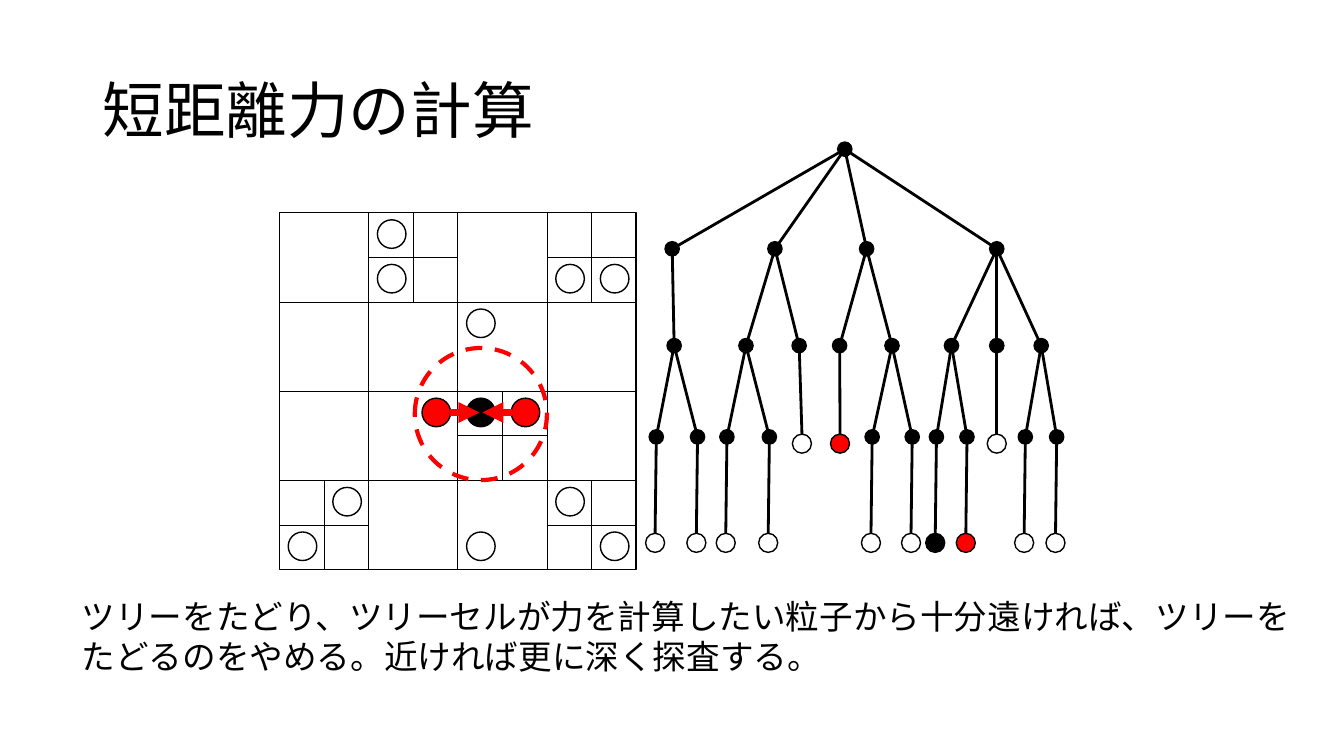
from collections import namedtuple

from lxml import etree
from pptx import Presentation
from pptx.dml.color import RGBColor
from pptx.enum.dml import MSO_LINE
from pptx.enum.shapes import MSO_CONNECTOR, MSO_SHAPE
from pptx.enum.text import MSO_ANCHOR, MSO_AUTO_SIZE, PP_ALIGN
from pptx.oxml.ns import qn
from pptx.util import Cm, Pt

BLACK = RGBColor(0x00, 0x00, 0x00)
RED = RGBColor(0xFF, 0x00, 0x00)
FONT = "Calibri"

# Cell grid: 4 x 4 cells, some of them split into quarters (cm)
GRID_LEFT, GRID_TOP, GRID_SIZE = 7.04, 5.36, 8.99
CELL = GRID_SIZE / 4
HALF = CELL / 2
SPLIT_CELLS = [(1, 0), (3, 0), (2, 2), (0, 3), (3, 3)]
# Particles sit in the middle of quarter cells: (column, row)
FAR_PARTICLES = [(2, 0), (2, 1), (6, 1), (7, 1), (4, 2), (1, 6),
                 (6, 6), (0, 7), (4, 7), (7, 7)]
NEAR_PARTICLES = [(3, 4), (5, 4)]
TARGET_PARTICLE = (4, 4)
PARTICLE_SIZE = 0.72

# Tree: height of each level, and sizes of nodes and leaves (cm)
LEVEL_Y = [3.76, 6.27, 8.71, 11.01, 13.68]
NODE_SIZE, LEAF_SIZE = 0.36, 0.48
EARLY_LEAF_DROP = 0.17

Node = namedtuple("Node", "x children")
Leaf = namedtuple("Leaf", "x fill", defaults=[None])


def chain(x, fill=None):
    """A lowest-level node with its single leaf."""
    return Node(x, [Leaf(x - 0.03, fill)])


TREE = Node(21.29, [
    Node(16.94, [Node(16.99, [chain(16.54), chain(17.58)])]),
    Node(19.53, [Node(18.80, [chain(18.32), chain(19.39)]),
                 Node(20.14, [Leaf(20.21)])]),
    Node(21.84, [Node(21.16, [Leaf(21.17, RED)]),
                 Node(22.48, [chain(21.98), chain(22.99)])]),
    Node(25.12, [Node(23.98, [chain(23.60, BLACK), chain(24.37, RED)]),
                 Node(25.12, [Leaf(25.12)]),
                 Node(26.24, [chain(25.84), chain(26.63)])]),
])


def add_line(shapes, x1, y1, x2, y2, width, color=BLACK, arrow=False):
    line = shapes.add_connector(MSO_CONNECTOR.STRAIGHT,
                                Cm(x1), Cm(y1), Cm(x2), Cm(y2))
    line.line.color.rgb = color
    line.line.width = Pt(width)
    if arrow:
        etree.SubElement(line.line._get_or_add_ln(), qn("a:tailEnd"),
                         type="triangle")
    etree.SubElement(line._element.spPr, qn("a:effectLst"))


def add_outline(shapes, kind, x, y, size, fill=None, color=BLACK, width=1):
    """A square or circle centred on (x, y)."""
    shape = shapes.add_shape(kind, Cm(x - size / 2), Cm(y - size / 2),
                             Cm(size), Cm(size))
    shape.shadow.inherit = False
    if fill is None:
        shape.fill.background()
    else:
        shape.fill.solid()
        shape.fill.fore_color.rgb = fill
    shape.line.color.rgb = color
    shape.line.width = Pt(width)
    return shape


def add_circle(shapes, x, y, size, fill=None, **style):
    return add_outline(shapes, MSO_SHAPE.OVAL, x, y, size, fill, **style)


def write(frame, text, size):
    paragraph = frame.paragraphs[0]
    paragraph.alignment = PP_ALIGN.LEFT
    run = paragraph.add_run()
    run.text = text
    run.font.size = Pt(size)
    run.font.name = FONT
    run.font.color.rgb = BLACK
    return paragraph


def place(shape, left, top, width, height):
    shape.left, shape.top = Cm(left), Cm(top)
    shape.width, shape.height = Cm(width), Cm(height)


def leaf_y(level):
    last = level == len(LEVEL_Y) - 1
    return LEVEL_Y[level] + (0 if last else EARLY_LEAF_DROP)


def draw_branches(shapes, node, level=0):
    for child in node.children:
        below = level + 1
        if isinstance(child, Leaf):
            end = leaf_y(below) - LEAF_SIZE / 2
        else:
            end = LEVEL_Y[below]
            draw_branches(shapes, child, below)
        add_line(shapes, node.x, LEVEL_Y[level], child.x, end, 2)


def draw_nodes(shapes, node, level=0):
    if isinstance(node, Leaf):
        add_circle(shapes, node.x, leaf_y(level), LEAF_SIZE, node.fill)
        return
    add_circle(shapes, node.x, LEVEL_Y[level], NODE_SIZE, BLACK)
    for child in node.children:
        draw_nodes(shapes, child, level + 1)


def draw_cross(shapes, left, top, size):
    """The two lines that split a square into quarters."""
    x, y = left + size / 2, top + size / 2
    add_line(shapes, left, y, left + size, y, 0.5)
    add_line(shapes, x, top, x, top + size, 0.5)


def draw_grid(shapes):
    middle = GRID_SIZE / 2
    add_outline(shapes, MSO_SHAPE.RECTANGLE, GRID_LEFT + middle,
                GRID_TOP + middle, GRID_SIZE)
    for i in range(1, 4):
        x, y = GRID_LEFT + i * CELL, GRID_TOP + i * CELL
        add_line(shapes, GRID_LEFT, y, GRID_LEFT + GRID_SIZE, y, 0.5)
        add_line(shapes, x, GRID_TOP, x, GRID_TOP + GRID_SIZE, 0.5)
    for column, row in SPLIT_CELLS:
        draw_cross(shapes, GRID_LEFT + column * CELL,
                   GRID_TOP + row * CELL, CELL)


def particle_center(column, row):
    return (GRID_LEFT + (column + 0.52) * HALF,
            GRID_TOP + (row + 0.48) * HALF)


def draw_particles(shapes):
    groups = [(FAR_PARTICLES, None), (NEAR_PARTICLES, RED),
              ([TARGET_PARTICLE], BLACK)]
    for positions, fill in groups:
        for position in positions:
            add_circle(shapes, *particle_center(*position),
                       PARTICLE_SIZE, fill)

    # Forces from the near particles, inside the cut-off circle
    x, y = particle_center(*TARGET_PARTICLE)
    for side in (-1, 1):
        add_line(shapes, x + side * 0.78, y, x + side * 0.04, y, 5,
                 RED, arrow=True)
    cutoff = add_circle(shapes, x, y + 0.04, 3.33, color=RED, width=3)
    cutoff.line.dash_style = MSO_LINE.DASH


def main():
    prs = Presentation()
    prs.slide_width, prs.slide_height = Cm(33.87), Cm(19.05)
    slide = prs.slides.add_slide(prs.slide_layouts[5])

    # Title
    title = slide.shapes.title
    place(title, 2.33, 1.01, 29.21, 3.68)
    title.text_frame.vertical_anchor = MSO_ANCHOR.MIDDLE
    write(title.text_frame, "短距離力の計算", 44).line_spacing = 0.9

    # Tree
    tree = slide.shapes.add_group_shape().shapes
    draw_branches(tree, TREE)
    draw_nodes(tree, TREE)

    # Cells and particles
    cells = slide.shapes.add_group_shape().shapes
    draw_grid(cells)
    draw_particles(cells)

    # Explanation
    box = slide.shapes.add_textbox(Cm(1.81), Cm(14.89), Cm(31.22), Cm(2.31))
    box.text_frame.word_wrap = True
    box.text_frame.auto_size = MSO_AUTO_SIZE.SHAPE_TO_FIT_TEXT
    write(box.text_frame,
          "ツリーをたどり、ツリーセルが力を計算したい粒子から十分遠ければ、"
          "ツリーをたどるのをやめる。近ければ更に深く探査する。", 24)

    prs.save("out.pptx")


main()
